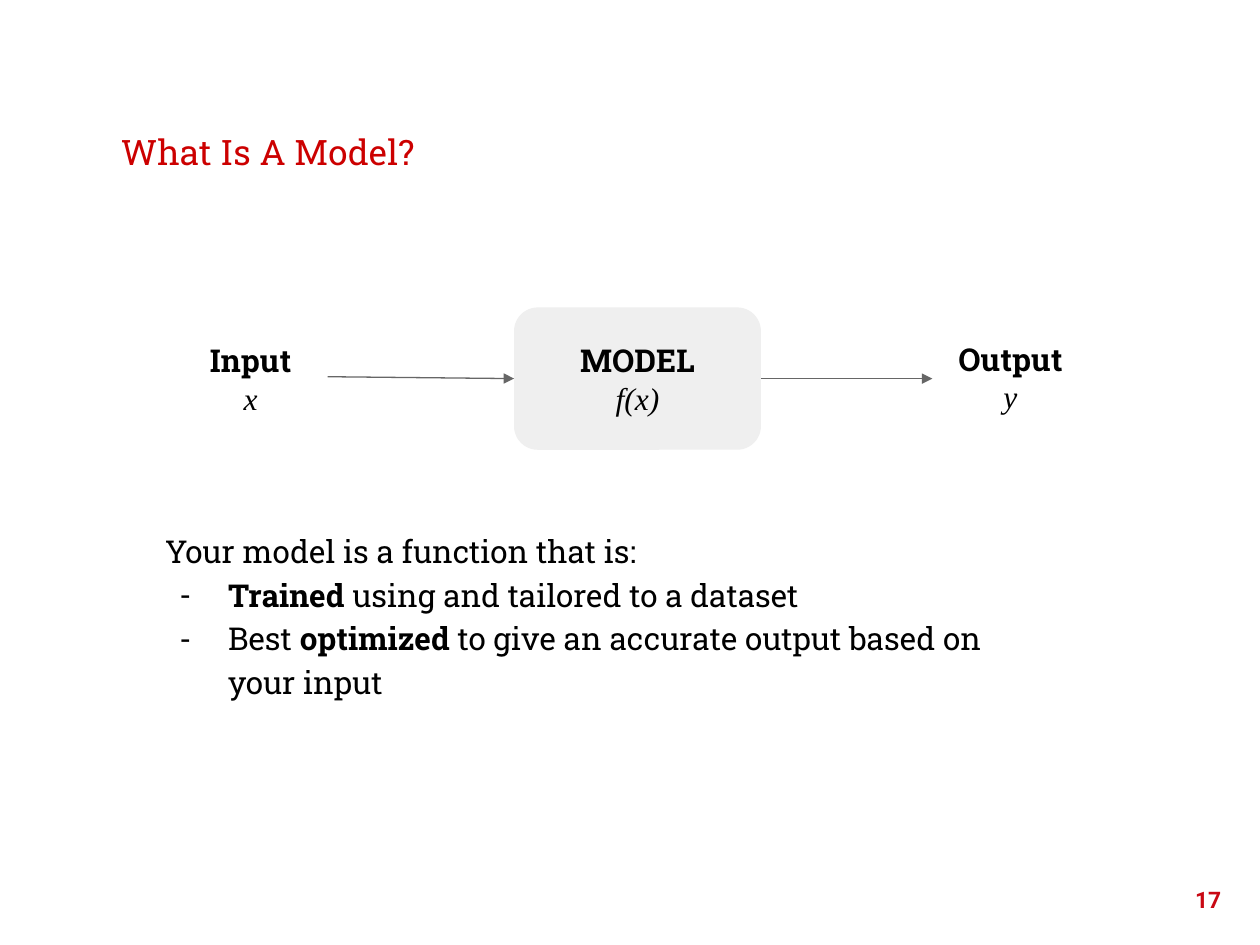
from lxml import etree
from pptx import Presentation
from pptx import util as u
from pptx.dml.color import RGBColor
from pptx.enum import shapes, text
from pptx.oxml.ns import qn

COLUMNS, ROWS = 20, 15
TOP, LEFT, BOTTOM, RIGHT = range(4)


def color(hex_value):
    return RGBColor.from_string(hex_value)


def add_xml(parent, tag, **attributes):
    return etree.SubElement(parent, qn(tag), attributes)


class ModelSlide:
    HEADING = dict(name="Roboto Slab", size=u.Pt(20), bold=False, color="CC0000")
    PLAIN = dict(name="Roboto Slab", size=u.Pt(18), bold=False, color="000000")
    STRONG = {**PLAIN, "bold": True}
    FORMULA = {**PLAIN, "name": "Times New Roman", "italic": True}
    NUMBER = dict(name="Roboto", size=u.Pt(13), bold=True, color="C90813")
    LINE, PANEL = "666666", "EFEFEF"
    STAGE_SIZE = (3.92, 2.26)

    def __init__(self, deck):
        self.column = deck.slide_width / COLUMNS
        self.row = deck.slide_height / ROWS
        self.slide = deck.slides.add_slide(deck.slide_layouts[1])

    def grid(self, column, row):
        return round(column * self.column), round(row * self.row)

    def place(self, shape, corner, size):
        shape.left, shape.top = self.grid(*corner)
        shape.width, shape.height = self.grid(*size)

    def frame(self, shape, anchor):
        """Set wrapping, margins and anchor, and return the text frame."""
        frame = shape.text_frame
        settings = dict(word_wrap=True, auto_size=text.MSO_AUTO_SIZE.NONE,
                        vertical_anchor=anchor)
        for side in ("left", "top", "right", "bottom"):
            settings["margin_" + side] = u.Inches(0.1)
        for key, value in settings.items():
            setattr(frame, key, value)
        return frame

    def fill_text(self, frame, paragraphs, align=text.PP_ALIGN.LEFT, spacing=1.0):
        """Fill the frame; each paragraph is a list of (words, style) runs."""
        for index, runs in enumerate(paragraphs):
            paragraph = frame.add_paragraph() if index else frame.paragraphs[0]
            paragraph.alignment = align
            paragraph.line_spacing = spacing
            paragraph.space_before = u.Pt(0)
            for words, style in runs:
                run = paragraph.add_run()
                run.text = words
                for key, value in style.items():
                    if key == "color":
                        run.font.color.rgb = color(value)
                    else:
                        setattr(run.font, key, value)

    def title(self, words, corner, size):
        heading = self.slide.shapes.title
        self.place(heading, corner, size)
        self.fill_text(self.frame(heading, text.MSO_ANCHOR.BOTTOM),
                       [[(words, self.HEADING)]])

    def dash_list(self, lead, points, corner, size):
        body = self.slide.placeholders[1]
        self.place(body, corner, size)
        frame = self.frame(body, text.MSO_ANCHOR.TOP)
        self.fill_text(frame, [lead, *points], spacing=1.15)
        for index, paragraph in enumerate(frame.paragraphs):
            properties = paragraph._p.get_or_add_pPr()
            margin, indent = (0.5, -0.38) if index else (0, 0)
            properties.set("marL", str(u.Inches(margin)))
            properties.set("indent", str(u.Inches(indent)))
            if index:
                bullet_color = add_xml(properties, "a:buClr")
                add_xml(bullet_color, "a:srgbClr", val=self.PLAIN["color"])
                add_xml(properties, "a:buChar", char="-")
            else:
                add_xml(properties, "a:buNone")

    def page_number(self, number, corner, size):
        box = self.slide.shapes.add_textbox(*self.grid(*corner), *self.grid(*size))
        self.fill_text(self.frame(box, text.MSO_ANCHOR.TOP),
                       [[(number, self.NUMBER)]], text.PP_ALIGN.RIGHT)

    def stage(self, name, formula, corner, fill=None):
        stage = self.slide.shapes.add_shape(
            shapes.MSO_SHAPE.ROUNDED_RECTANGLE,
            *self.grid(*corner), *self.grid(*self.STAGE_SIZE))
        stage.shadow.inherit = False
        stage.line.fill.background()
        if fill:
            stage.fill.solid()
            stage.fill.fore_color.rgb = color(fill)
        else:
            stage.fill.background()
        self.fill_text(self.frame(stage, text.MSO_ANCHOR.MIDDLE),
                       [[(name, self.STRONG)], [(formula, self.FORMULA)]],
                       text.PP_ALIGN.CENTER)
        return stage

    def arrow(self, start, end, source=None, target=None):
        """Draw an arrow, joined to the right of source or the left of target."""
        arrow = self.slide.shapes.add_connector(
            shapes.MSO_CONNECTOR.STRAIGHT, *self.grid(*start), *self.grid(*end))
        if source:
            arrow.begin_connect(source, RIGHT)
        if target:
            arrow.end_connect(target, LEFT)
        arrow.line.color.rgb = color(self.LINE)
        arrow.line.width = u.Pt(0.75)
        add_xml(arrow.line._get_or_add_ln(), "a:tailEnd", type="triangle")
        add_xml(arrow._element.spPr, "a:effectLst")


def main():
    deck = Presentation()
    deck.slide_width, deck.slide_height = u.Inches(10), u.Inches(7.5)
    page = ModelSlide(deck)
    plain, strong = page.PLAIN, page.STRONG

    page.title("What Is A Model?", (1.72, 0.9), (16.56, 2.04))
    page.page_number("17", (18.38, 13.86), (1.2, 1.14))

    model = page.stage("MODEL", "f(x)", (8.16, 4.88), page.PANEL)
    page.arrow((5.2, 5.98), (8.16, 6.01), target=model)
    page.arrow((12.08, 6.01), (14.8, 6.01), source=model)
    page.stage("Input", "x", (2.02, 4.88))
    page.stage("Output", "y", (14.08, 4.86))

    page.dash_list(
        [("Your model is a function that is:", plain)],
        [[("Trained", strong), (" using and tailored to a dataset", plain)],
         [("Best ", plain), ("optimized ", strong),
          ("to give an accurate output based on your input", plain)]],
        (2.42, 8.16), (14.08, 4.34))
    deck.save("out.pptx")


if __name__ == "__main__":
    main()
